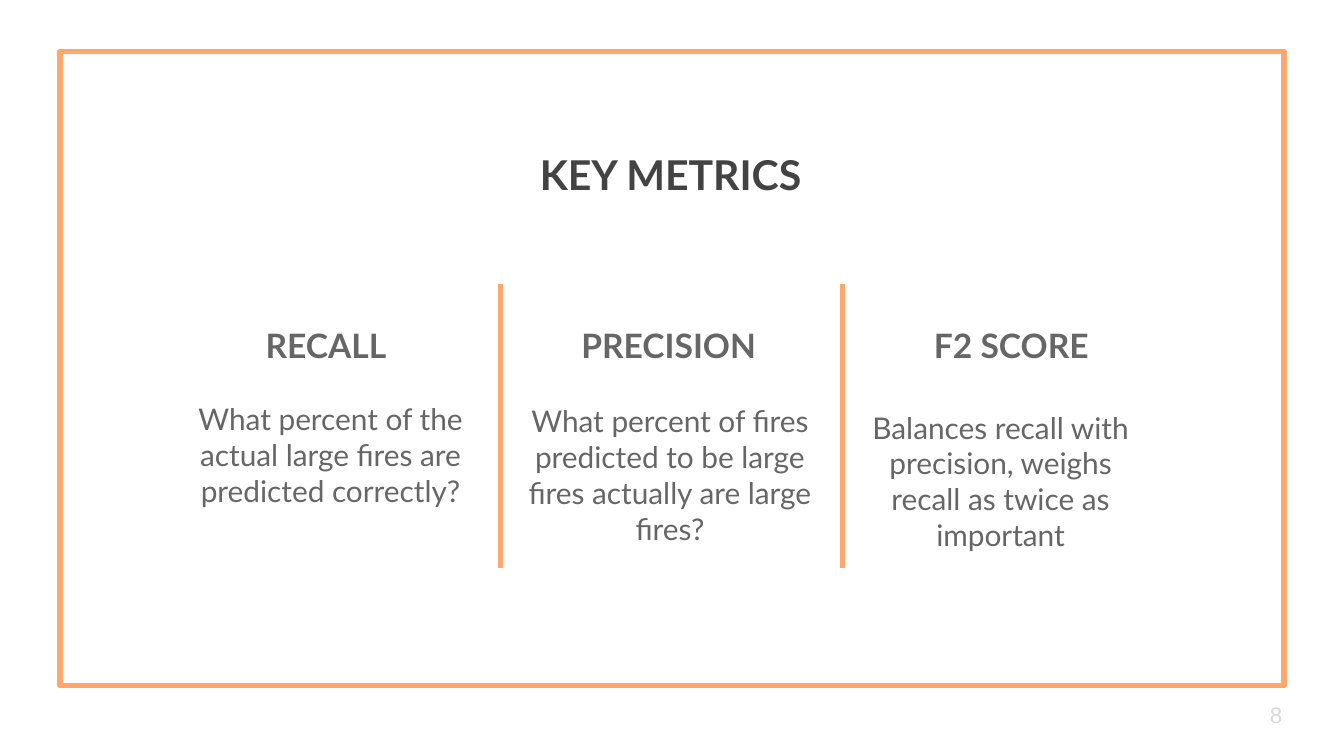
from dataclasses import dataclass

from lxml import etree
from pptx import Presentation
from pptx import util as u
from pptx.dml.color import RGBColor
from pptx.enum import shapes, text
from pptx.oxml.ns import qn

EMU_PER_PX = 4572
ACCENT = "FFA76C"
DARK = "434343"
GREY = "666666"
PALE = "D9D9D9"
HEADING_TOP, HEADING_WIDTH, HEADING_HEIGHT = 422, 462, 141
HEADING_LEFT, COLUMN_STEP = 254, 510
DIVIDER_BOTTOM = 846
INSET = 20


@dataclass(frozen=True)
class Box:
    left: int
    top: int
    width: int
    height: int

    def emu(self) -> tuple[int, ...]:
        return tuple(map(px, (self.left, self.top, self.width, self.height)))


@dataclass(frozen=True)
class Metric:
    name: str
    meaning: str
    body: Box


METRICS = [
    Metric("RECALL", "What percent of the actual large fires are predicted correctly?",
           Box(244, 577, 496, 312)),
    Metric("PRECISION", "What percent of fires predicted to be large fires actually are large fires?",
           Box(766, 580, 462, 312)),
    Metric("F2 SCORE", "Balances recall with precision, weighs recall as twice as important",
           Box(1258, 589, 462, 294)),
]


def px(length: int) -> u.Emu:
    return u.Emu(length * EMU_PER_PX)


def color(value: str) -> RGBColor:
    return RGBColor.from_string(value)


def style_line(line) -> None:
    line.color.rgb = color(ACCENT)
    line.width = u.Pt(3)


def add_text(page, content: str, place: Box, *, size: int, ink: str, font: str = "Lato",
             bold: bool = False, align=text.PP_ALIGN.CENTER,
             anchor=text.MSO_ANCHOR.TOP) -> None:
    frame = page.shapes.add_textbox(*place.emu()).text_frame
    frame.word_wrap = True
    frame.vertical_anchor = anchor
    frame.margin_left = frame.margin_right = px(INSET)
    frame.margin_top = frame.margin_bottom = px(INSET)
    para = frame.paragraphs[0]
    para.alignment = align
    span = para.add_run()
    span.text = content
    span.font.name = font
    span.font.size = u.Pt(size)
    span.font.bold = bold
    span.font.color.rgb = color(ink)


def add_border(page, place: Box) -> None:
    border = page.shapes.add_shape(shapes.MSO_SHAPE.RECTANGLE, *place.emu())
    border.shadow.inherit = False
    border.fill.background()
    style_line(border.line)
    etree.SubElement(border.line._get_or_add_ln(), qn("a:round"))


def add_divider(page, x: int) -> None:
    divider = page.shapes.add_connector(shapes.MSO_CONNECTOR.STRAIGHT, px(x), px(HEADING_TOP),
                                        px(x), px(DIVIDER_BOTTOM))
    style_line(divider.line)
    etree.SubElement(divider._element.spPr, qn("a:effectLst"))


def add_metric(page, column: int, metric: Metric) -> None:
    heading = Box(HEADING_LEFT + column * COLUMN_STEP, HEADING_TOP, HEADING_WIDTH, HEADING_HEIGHT)
    add_text(page, metric.name, heading, size=18, ink=GREY, bold=True,
             anchor=text.MSO_ANCHOR.BOTTOM)
    add_text(page, metric.meaning, metric.body, size=16, ink=GREY)


def main() -> None:
    deck = Presentation()
    deck.slide_width, deck.slide_height = px(2000), px(1125)
    page = deck.slides.add_slide(deck.slide_layouts[6])
    page.background.fill.solid()
    page.background.fill.fore_color.rgb = color("FFFFFF")

    add_border(page, Box(89, 77, 1822, 943))
    add_text(page, "KEY METRICS", Box(-2, 202, 2000, 106), size=22, ink=DARK, bold=True)
    for x in (745, 1254):
        add_divider(page, x)
    add_text(page, "8", Box(1870, 1021, 120, 86), size=12, ink=PALE, font="Arial",
             align=text.PP_ALIGN.LEFT, anchor=text.MSO_ANCHOR.MIDDLE)
    for column, metric in enumerate(METRICS):
        add_metric(page, column, metric)
    deck.save("out.pptx")


if __name__ == "__main__":
    main()
